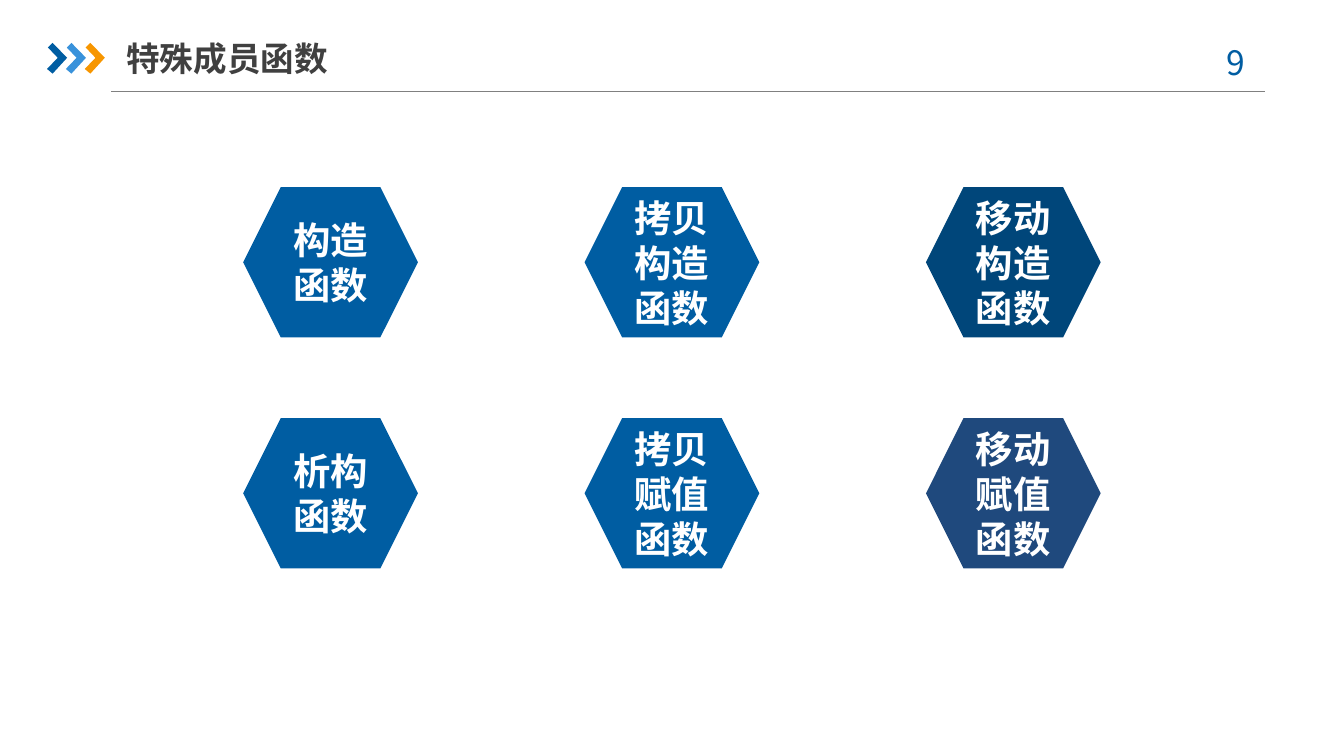
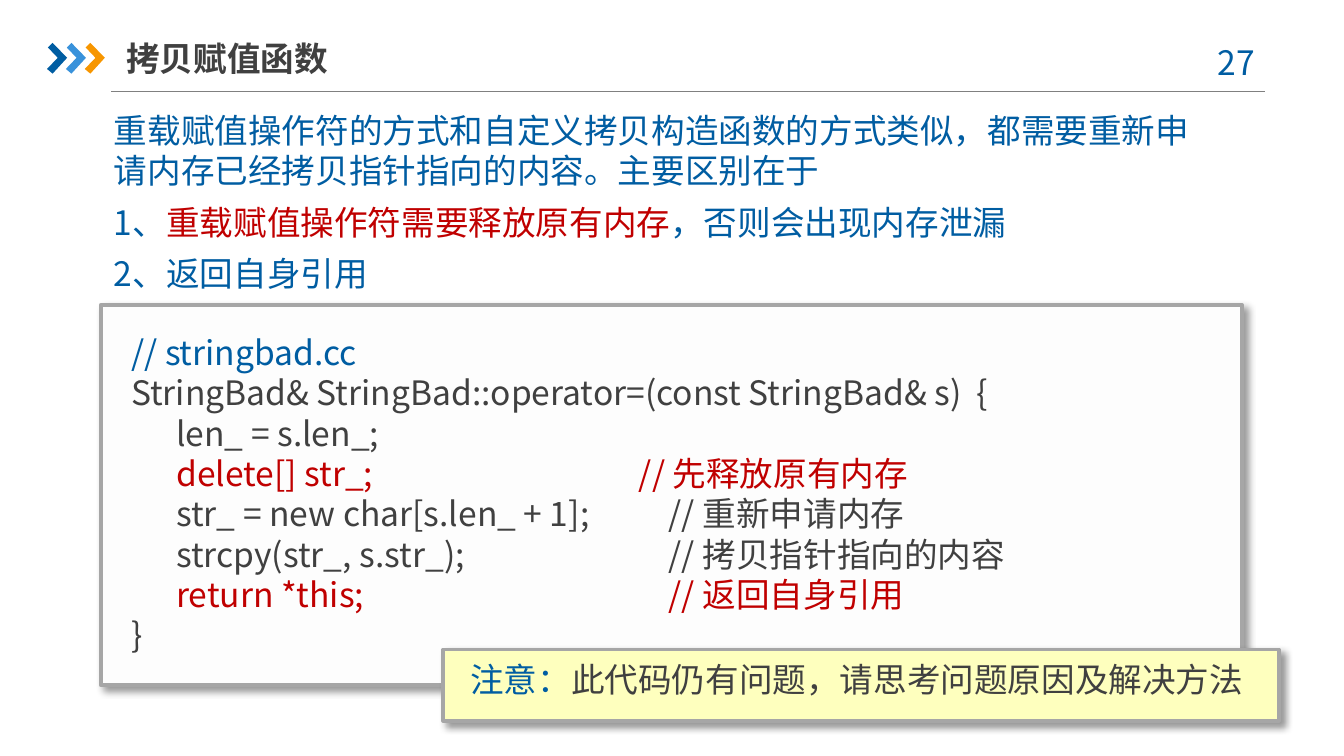
from typing import NamedTuple

from lxml.etree import SubElement
from pptx import Presentation
from pptx.dml.color import RGBColor
from pptx.enum.shapes import MSO_CONNECTOR as Connector, MSO_SHAPE as Preset
from pptx.enum.text import MSO_ANCHOR as Anchor, MSO_AUTO_SIZE as AutoSize, PP_ALIGN as Align
from pptx.oxml.ns import qn
from pptx.util import Pt

FONT = "Noto Sans CJK SC"
BLUE, SKY, ORANGE = "005DA2", "3992DB", "F79600"
NAVY, INDIGO, RED = "00467A", "1F497D", "C00000"
DARK, GREY, SILVER, WHITE = "404040", "808080", "A6A6A6", "FFFFFF"
PAPER, YELLOW = "FDFDFD", "FEFFBE"
CHEVRON = [(0.5, 2.5), (3, 0), (10.75, 8), (3, 16.5), (0, 14), (5.75, 8)]


class Box(NamedTuple):
    """Left, top, width and height in points."""
    left: float
    top: float
    width: float
    height: float

    def lengths(self):
        return [Pt(value) for value in self]

    def inset(self, x, y):
        return Box(self.left + x, self.top + y, self.width - 2 * x, self.height - 2 * y)


def color(hex_string):
    return RGBColor.from_string(hex_string)


def write(shape, paragraphs, size=18, bold=False, align=Align.LEFT,
          anchor=Anchor.TOP, margins=(7.2, 3.6), after=0):
    """Fill a shape with paragraphs, each a list of (text, colour) runs."""
    frame = shape.text_frame
    frame.word_wrap = True
    frame.auto_size = AutoSize.NONE
    frame.vertical_anchor = anchor
    frame.margin_left = frame.margin_right = Pt(margins[0])
    frame.margin_top = frame.margin_bottom = Pt(margins[1])
    for index, runs in enumerate(paragraphs):
        paragraph = frame.add_paragraph() if index else frame.paragraphs[0]
        paragraph.alignment = align
        paragraph.line_spacing = Pt(size * 1.2)
        paragraph.space_after = Pt(after)
        for text, hex_string in runs:
            run = paragraph.add_run()
            run.text = text
            run.font.size = Pt(size)
            run.font.bold = bold
            run.font.name = FONT
            run.font.color.rgb = color(hex_string)
            SubElement(run.font._element, qn("a:ea"), typeface=FONT)


def paint(shape, fill):
    shape.shadow.inherit = False
    shape.fill.solid()
    shape.fill.fore_color.rgb = color(fill)
    shape.line.fill.background()


def add_block(slide, box, fill, preset=Preset.RECTANGLE):
    shape = slide.shapes.add_shape(preset, *box.lengths())
    paint(shape, fill)
    return shape


def add_framed_panel(slide, box, fill):
    """Panel with a grey border and a soft shadow to the lower right."""
    panel = add_block(slide, box, fill)
    panel.line.color.rgb = color(SILVER)
    panel.line.width = Pt(2)
    effects = panel._element.spPr.find(qn("a:effectLst"))
    shadow = SubElement(effects, qn("a:outerShdw"), blurRad=str(Pt(4)), dist=str(Pt(3)),
                        dir="2700000", algn="tl", rotWithShape="0")
    black = SubElement(shadow, qn("a:srgbClr"), val="000000")
    SubElement(black, qn("a:alpha"), val="40000")


def add_text(slide, box, paragraphs, **style):
    write(slide.shapes.add_textbox(*box.lengths()), paragraphs, **style)


def add_chevrons(slide, box):
    for index, fill in enumerate((BLUE, SKY, ORANGE)):
        left = box.left + index * 10.1
        points = [(Pt(left + x), Pt(box.top + y)) for x, y in CHEVRON]
        builder = slide.shapes.build_freeform(*points[0])
        builder.add_line_segments(points[1:])
        paint(builder.convert_to_shape(), fill)


def add_header(slide, box, title, number):
    """Title, chevrons, page number and the rule along the bottom of the box."""
    rule = slide.shapes.add_connector(
        Connector.STRAIGHT, Pt(box.left + 34.5), Pt(box.top + box.height),
        Pt(box.left + box.width), Pt(box.top + box.height))
    rule.line.color.rgb = color(GREY)
    rule.line.width = Pt(0.75)
    SubElement(rule._element.spPr, qn("a:effectLst"))
    add_chevrons(slide, Box(box.left, box.top + 7, 31, 16.5))
    add_text(slide, Box(box.left + box.width - 39.5, box.top + 2.7, 52.5, 28.8),
             [[(f"{number} ", BLUE)]], align=Align.CENTER)
    placeholder = slide.shapes.title
    place = Box(box.left + 42.5, box.top, 219, 30).lengths()
    placeholder.left, placeholder.top, placeholder.width, placeholder.height = place
    write(placeholder, [[(title, DARK)]], bold=True, anchor=Anchor.MIDDLE, margins=(0, 3.6))


def add_hexagon_grid(slide, box, rows, width=93.6, height=80.6):
    for row, cells in enumerate(rows):
        top = box.top + row * (box.height - height) / (len(rows) - 1)
        for column, (text, fill) in enumerate(cells):
            left = box.left + column * (box.width - width) / (len(cells) - 1)
            hexagon = add_block(slide, Box(left, top, width, height), fill, Preset.HEXAGON)
            write(hexagon, [[(text, WHITE)]], size=20, bold=True, align=Align.CENTER,
                  anchor=Anchor.MIDDLE, margins=(5.76, 2.88))


def add_code(slide, box, lines):
    """Code panel; each line is (text, colour, tab stop of its comment)."""
    add_framed_panel(slide, box, PAPER)
    listing = add_block(slide, box.inset(9.2, 11), PAPER)
    write(listing, [[(text, hex_string)] for text, hex_string, _ in lines])
    for paragraph, (_, _, stop) in zip(listing.text_frame.paragraphs, lines):
        if stop:
            tabs = SubElement(paragraph._p.get_or_add_pPr(), qn("a:tabLst"))
            SubElement(tabs, qn("a:tab"), pos=str(Pt(stop)), algn="l")


def add_note(slide, box, runs):
    add_framed_panel(slide, box, YELLOW)
    write(add_block(slide, box.inset(7.5, 1.2), YELLOW), [runs], after=6)


def add_titled_slide(presentation, title, number):
    slide = presentation.slides.add_slide(presentation.slide_layouts[5])
    add_header(slide, Box(25.2, 16, 652.3, 33.2), title, number)
    return slide


def add_members_slide(presentation):
    slide = add_titled_slide(presentation, "特殊成员函数", 9)
    add_hexagon_grid(slide, Box(130.3, 100.2, 459.4, 204.4), [
        [("构造函数", BLUE), ("拷贝构造函数", BLUE), ("移动构造函数", NAVY)],
        [("析构函数", BLUE), ("拷贝赋值函数", BLUE), ("移动赋值函数", INDIGO)],
    ])


def add_assignment_slide(presentation):
    slide = add_titled_slide(presentation, "拷贝赋值函数", 27)
    add_code(slide, Box(54, 163.4, 611.3, 203.8), [
        ("// stringbad.cc", BLUE, None),
        ("StringBad& StringBad::operator=(const StringBad& s)  {", DARK, None),
        ("      len_ = s.len_;", DARK, None),
        ("      delete[] str_;\t// 先释放原有内存", RED, 272),
        ("      str_ = new char[s.len_ + 1];\t// 重新申请内存", DARK, 288),
        ("      strcpy(str_, s.str_);\t// 拷贝指针指向的内容", DARK, 288),
        ("      return *this;\t// 返回自身引用", RED, 288),
        ("}", DARK, None),
    ])
    add_text(slide, Box(54, 55.4, 607, 106.6), [
        [("重载赋值操作符的方式和自定义拷贝构造函数的方式类似，都需要重新申请内存"
          "已经拷贝指针指向的内容。主要区别在于", BLUE)],
        [("1、", BLUE), ("重载赋值操作符需要释放原有内存", RED), ("，否则会出现内存泄漏", BLUE)],
        [("2、返回自身引用", BLUE)],
    ], after=6)
    add_note(slide, Box(237.4, 348, 447.8, 38.2),
             [("注意：", BLUE), ("此代码仍有问题，请思考问题原因及解决方法", DARK)])


def main():
    presentation = Presentation()
    presentation.slide_width, presentation.slide_height = Pt(720), Pt(405)
    add_members_slide(presentation)
    add_assignment_slide(presentation)
    presentation.save("out.pptx")


if __name__ == "__main__":
    main()
